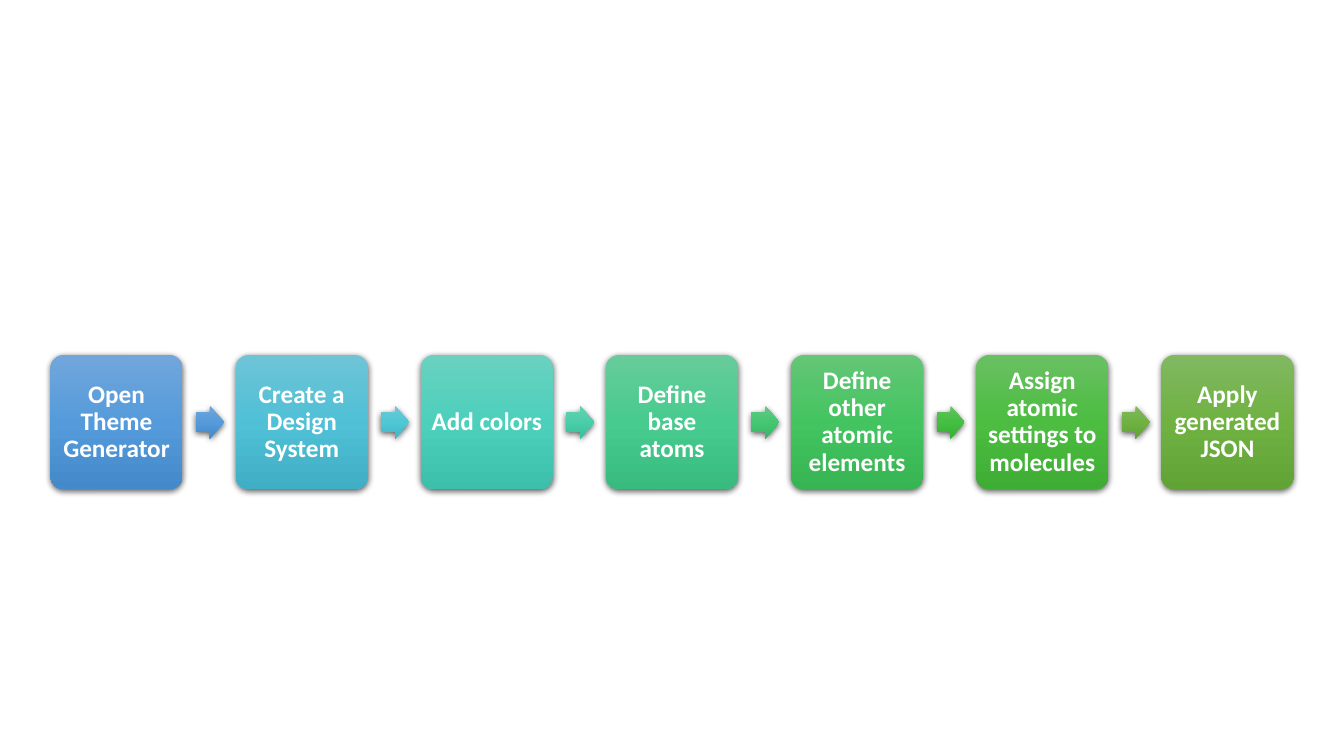
from dataclasses import dataclass
import copy

import lxml.etree
import pptx
import pptx.dml.color
import pptx.enum.shapes
import pptx.enum.text
import pptx.oxml.ns
import pptx.util

Pt = pptx.util.Pt
SHAPES = pptx.enum.shapes.MSO_SHAPE
qn = pptx.oxml.ns.qn


@dataclass(frozen=True)
class Theme:
    font: str = "Calibri"
    step_size: float = 18
    step_text: str = "FFFFFF"
    shadow: str = "000000"
    # Top, middle and bottom of each gradient
    steps: tuple = (
        ("71A6DB", "559BDB", "448ACA"),
        ("6EC4D6", "50C0D6", "40AFC5"),
        ("6AD1C0", "4CD0BC", "3CC0AC"),
        ("67CC9A", "47CB8E", "39BB7F"),
        ("64C677", "44C460", "36B552"),
        ("69C062", "4CBD41", "3FAD34"),
        ("81B861", "6FB242", "62A336"),
    )
    arrows: tuple = (
        ("71A6DB", "559BDB", "448ACA"),
        ("6DCAD5", "4FC7D5", "3FB7C4"),
        ("69CFB1", "4ACEAA", "3BBE9A"),
        ("66C885", "45C772", "37B764"),
        ("64C162", "44BF41", "37B034"),
        ("81B861", "6FB242", "62A336"),
    )


THEME = Theme()

STEPS = (
    "Open Theme Generator",
    "Create a Design System",
    "Add colors",
    "Define base atoms",
    "Define other atomic elements",
    "Assign atomic settings to molecules",
    "Apply generated JSON",
)


def rgb(value):
    return pptx.dml.color.RGBColor.from_string(value)


def fill_gradient(shape, colours):
    """Fill from top to bottom with three evenly spaced colours."""
    shape.fill.gradient()
    shape.fill.gradient_angle = 270
    stop_list = shape._element.spPr.find(qn("a:gradFill")).find(qn("a:gsLst"))
    stop_list.append(copy.deepcopy(stop_list[-1]))
    for index, (stop, colour) in enumerate(zip(shape.fill.gradient_stops, colours)):
        stop.position = index / 2
        stop.color.rgb = rgb(colour)


def add_soft_shadow(shape):
    shape.shadow.inherit = False
    effects = shape._element.spPr.find(qn("a:effectLst"))
    shadow = lxml.etree.SubElement(
        effects, qn("a:outerShdw"), blurRad=str(Pt(4.5)), dist=str(Pt(1.5)),
        dir="5400000", algn="ctr", rotWithShape="0")
    colour = lxml.etree.SubElement(shadow, qn("a:srgbClr"), val=THEME.shadow)
    lxml.etree.SubElement(colour, qn("a:alpha"), val="63000")


def add_block(flow, kind, box, colours, adjustments):
    block = flow.shapes.add_shape(kind, *(Pt(round(length, 2)) for length in box))
    for index, value in enumerate(adjustments):
        block.adjustments[index] = value
    fill_gradient(block, colours)
    block.line.fill.background()
    add_soft_shadow(block)
    return block


def write_text(shape, text, *, size, colour, bold=False, inset=5, line_spacing=0.9):
    frame = shape.text_frame
    frame.word_wrap = True
    frame.vertical_anchor = pptx.enum.text.MSO_ANCHOR.MIDDLE
    frame.margin_left = frame.margin_right = Pt(inset)
    frame.margin_top = frame.margin_bottom = Pt(inset)
    paragraph = frame.paragraphs[0]
    paragraph.alignment = pptx.enum.text.PP_ALIGN.CENTER
    paragraph.line_spacing = line_spacing
    run = paragraph.add_run()
    run.text = text
    run.font.name = THEME.font
    run.font.size = Pt(size)
    run.font.bold = bold
    run.font.color.rgb = rgb(colour)


def add_process(slide, left, top, width, height):
    """Row of steps joined by arrows; gaps are 0.4 of a step's width."""
    flow = slide.shapes.add_group_shape()
    step_width = width / (len(STEPS) + 0.4 * (len(STEPS) - 1))
    pitch = 1.4 * step_width
    arrow_width, arrow_height = 0.212 * step_width, 0.248 * step_width
    arrow_top = top + (height - arrow_height) / 2

    for index, label in enumerate(STEPS):
        step_left = left + index * pitch
        # Step
        step = add_block(flow, SHAPES.ROUNDED_RECTANGLE,
                         (step_left, top, step_width, height),
                         THEME.steps[index], (0.1,))
        write_text(step, label, size=THEME.step_size, colour=THEME.step_text, bold=True)
        # Arrow to the next step
        if index < len(THEME.arrows):
            add_block(flow, SHAPES.RIGHT_ARROW,
                      (step_left + 1.1 * step_width, arrow_top, arrow_width, arrow_height),
                      THEME.arrows[index], (0.6, 0.5))


def main():
    deck = pptx.Presentation()
    deck.slide_width, deck.slide_height = Pt(960), Pt(540)
    slide = deck.slides.add_slide(deck.slide_layouts[6])
    add_process(slide, left=36, top=253.5, width=888, height=96)
    deck.save("out.pptx")


if __name__ == "__main__":
    main()
